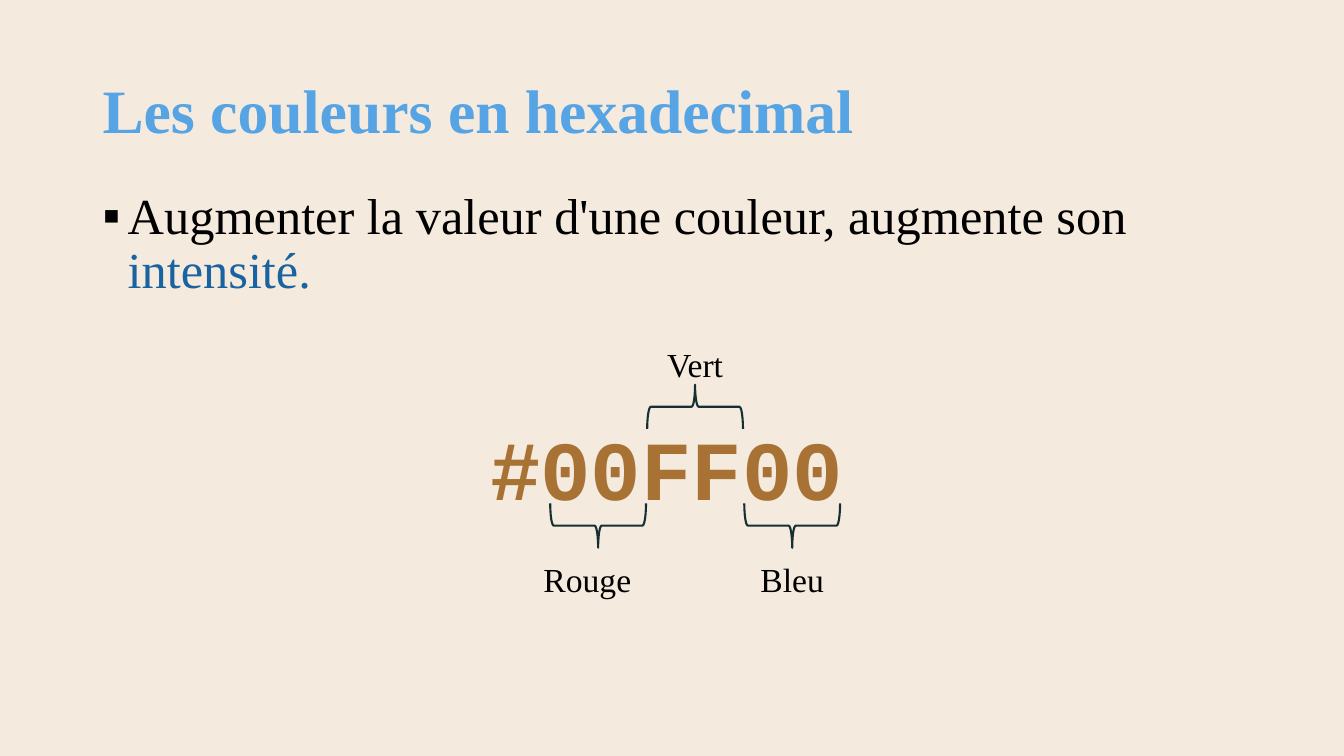
import pptx
import pptx.util
import pptx.dml.color
import pptx.enum.shapes
import pptx.enum.text
import pptx.oxml.ns
import lxml.etree

RGBColor = pptx.dml.color.RGBColor
SAND = RGBColor(0xF5, 0xEA, 0xDE)
SKY = RGBColor(0x56, 0xA4, 0xE4)
BLUE = RGBColor(0x19, 0x63, 0xA1)
BROWN = RGBColor(0xA8, 0x72, 0x35)
PINE = RGBColor(0x16, 0x2F, 0x33)
BLACK = RGBColor(0, 0, 0)
SERIF, MONO = "Times New Roman", "Courier New"
ALIGN = pptx.enum.text.PP_ALIGN
ANCHOR = pptx.enum.text.MSO_ANCHOR


class HexSlide:
    """Slide whose lengths are percentages of its width and height."""

    def __init__(self, deck):
        self.width, self.height = deck.slide_width, deck.slide_height
        self.slide = deck.slides.add_slide(deck.slide_layouts[1])
        self.slide.background.fill.solid()
        self.slide.background.fill.fore_color.rgb = SAND

    def box(self, left, top, width, height):
        return (int(self.width * left / 100), int(self.height * top / 100),
                int(self.width * width / 100), int(self.height * height / 100))

    def centred(self, x, y, width, height):
        return self.box(x - width / 2, y - height / 2, width, height)

    def style(self, run, size, color, face=SERIF, bold=False):
        run.font.size = pptx.util.Pt(size)
        run.font.name = face
        run.font.bold = bold
        run.font.color.rgb = color

    def fill_placeholder(self, placeholder, area, anchor, pieces, size, bold=False):
        (placeholder.left, placeholder.top,
         placeholder.width, placeholder.height) = self.box(*area)
        frame = placeholder.text_frame
        frame.auto_size = pptx.enum.text.MSO_AUTO_SIZE.NONE
        frame.vertical_anchor = anchor
        paragraph = frame.paragraphs[0]
        paragraph.alignment = ALIGN.LEFT
        paragraph.line_spacing = 0.9
        paragraph.space_before = pptx.util.Pt(0)
        for words, color in pieces:
            run = paragraph.add_run()
            run.text = words
            self.style(run, size, color, bold=bold)
        return paragraph

    def title(self, words):
        self.fill_placeholder(self.slide.shapes.title, (6.88, 5.33, 86.25, 19.33),
                              ANCHOR.MIDDLE, [(words, SKY)], 44, True)

    def bullet(self, pieces):
        paragraph = self.fill_placeholder(self.slide.placeholders[1],
                                          (6.88, 24.6, 86.25, 65.47),
                                          ANCHOR.TOP, pieces, 36)
        properties = paragraph._p.get_or_add_pPr()
        indent = pptx.util.Inches(0.25)
        properties.set("marL", str(indent))
        properties.set("indent", str(-indent))
        qn = pptx.oxml.ns.qn
        bullet_color = lxml.etree.SubElement(properties, qn("a:buClr"))
        lxml.etree.SubElement(bullet_color, qn("a:srgbClr"), val=str(BLACK))
        lxml.etree.SubElement(properties, qn("a:buChar"), char="▪")

    def text(self, words, area, size, color, face=SERIF, bold=False,
             align=ALIGN.CENTER):
        frame = self.slide.shapes.add_textbox(*self.centred(*area)).text_frame
        frame.word_wrap = True
        frame.vertical_anchor = ANCHOR.TOP
        frame.margin_left = frame.margin_right = pptx.util.Inches(0.1)
        frame.margin_top = frame.margin_bottom = pptx.util.Inches(0.1)
        frame.text = words
        frame.paragraphs[0].alignment = align
        self.style(frame.paragraphs[0].runs[0], size, color, face, bold)

    def brace(self, x, y, rotation):
        brace = self.slide.shapes.add_shape(
            pptx.enum.shapes.MSO_SHAPE.RIGHT_BRACE, *self.centred(x, y, 3.3, 12.67))
        brace.rotation = rotation
        brace.adjustments[0] = 0.08
        brace.shadow.inherit = False
        brace.fill.background()
        brace.line.color.rgb = PINE
        brace.line.width = pptx.util.Pt(1.5)


def main():
    deck = pptx.Presentation()
    deck.slide_width = pptx.util.Inches(13.33)
    deck.slide_height = pptx.util.Inches(7.5)
    page = HexSlide(deck)
    page.title("Les couleurs en hexadecimal")
    page.bullet([("Augmenter la valeur d'une couleur, augmente son ", BLACK),
                 ("intensité.", BLUE)])
    page.text("#00FF00", (49.59, 59.4, 42.16, 11.33), 60, BROWN, MONO, True)

    below, above = (69.53, 75.87, 90), (53.8, 47.47, 270)
    channels = [("Rouge", below, ALIGN.LEFT), ("Vert", above, ALIGN.CENTER),
                ("Bleu", below, ALIGN.CENTER)]
    for index, (channel, (brace_y, label_y, rotation), align) in enumerate(channels):
        x = 44.5 + 7.22 * index
        page.brace(x, brace_y, rotation)
        page.text(channel, (x, label_y, 9.6, 6.67), 24, BLACK, align=align)
    deck.save("out.pptx")


if __name__ == "__main__":
    main()
